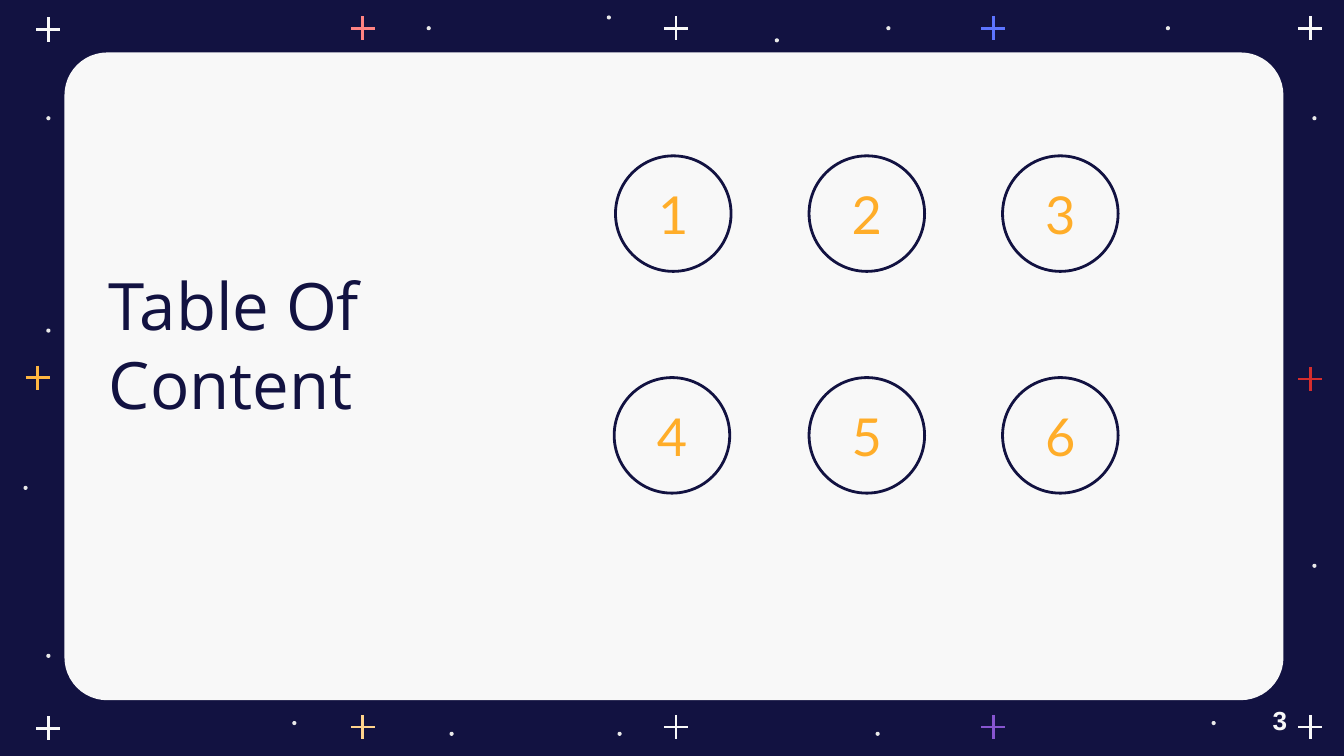
from typing import NamedTuple

import pptx
import pptx.dml.color
import pptx.enum.shapes
import pptx.enum.text
import pptx.oxml
import pptx.oxml.ns
import pptx.util
from pptx.util import Inches

NAVY = "121241"
PAPER = "F8F8F8"
STAR = "E9E9E9"
AMBER = "FFAD29"
SHAPES = pptx.enum.shapes.MSO_SHAPE
MIDDLE = pptx.enum.text.MSO_ANCHOR.MIDDLE
ALIGN = pptx.enum.text.PP_ALIGN


class Cross(NamedTuple):
    x: float
    y: float
    color: str


class Star(NamedTuple):
    left: float
    top: float


class Chapter(NamedTuple):
    left: float
    top: float
    number: str


CROSS_COLUMNS = [0.36, 2.7, 5.03, 7.39, 9.75]
CROSS_ROWS = {
    0.21: [PAPER, "FF8382", PAPER, "5D74FF", PAPER],
    5.41: [PAPER, "FFD38C", PAPER, "8755D0", PAPER],
}
CROSSES = [
    Cross(x, y + (0.01 if x == CROSS_COLUMNS[0] else 0), color)
    for y, colors in CROSS_ROWS.items()
    for x, color in zip(CROSS_COLUMNS, colors)
] + [Cross(0.28, 2.81, "FFB641"), Cross(9.75, 2.82, "D52D2D")]

STARS = [
    Star(0.35, 0.87), Star(0.35, 2.45), Star(0.18, 3.62), Star(0.35, 4.87),
    Star(3.18, 0.2), Star(4.52, 0.12), Star(5.77, 0.29), Star(6.6, 0.2),
    Star(8.68, 0.2), Star(9.77, 0.87), Star(9.77, 4.2), Star(9.02, 5.37),
    Star(6.52, 5.45), Star(4.6, 5.45), Star(2.18, 5.37), Star(3.35, 5.45),
]

CHAPTER_ROWS = {1.16: [4.58, 6.02, 7.46], 2.81: [4.57, 6.02, 7.46]}
CHAPTER_SPOTS = [(left, top) for top, lefts in CHAPTER_ROWS.items() for left in lefts]
CHAPTERS = [
    Chapter(left, top, str(number))
    for number, (left, top) in enumerate(CHAPTER_SPOTS, start=1)
]


def rgb(color: str) -> pptx.dml.color.RGBColor:
    return pptx.dml.color.RGBColor.from_string(color)


def add_solid(slide, kind, left: float, top: float, width: float, height: float,
              fill: str, line: str | None = None, weight: float = 0.75):
    solid = slide.shapes.add_shape(
        kind, Inches(left), Inches(top), Inches(width), Inches(height))
    solid.shadow.inherit = False
    solid.fill.solid()
    solid.fill.fore_color.rgb = rgb(fill)
    if line:
        solid.line.color.rgb = rgb(line)
        solid.line.width = pptx.util.Pt(weight)
    else:
        solid.line.fill.background()
    return solid


def write(frame, text: str, font: str, size: float, color: str,
          align=ALIGN.LEFT, bold: bool = False) -> None:
    frame.text = text
    paragraph = frame.paragraphs[0]
    paragraph.alignment = align
    paragraph.font.name = font
    paragraph.font.size = pptx.util.Pt(size)
    paragraph.font.bold = bold
    paragraph.font.color.rgb = rgb(color)


def set_insets(frame, inset: float) -> None:
    frame.margin_left = frame.margin_right = Inches(inset)
    frame.margin_top = frame.margin_bottom = Inches(inset)


def add_cross(slide, cross: Cross) -> None:
    arm = 0.09
    for dx, dy in [(0, arm), (arm, 0)]:
        stroke = slide.shapes.add_connector(
            pptx.enum.shapes.MSO_CONNECTOR.STRAIGHT,
            Inches(cross.x - dx), Inches(cross.y - dy),
            Inches(cross.x + dx), Inches(cross.y + dy))
        stroke.line.color.rgb = rgb(cross.color)
        stroke.line.width = pptx.util.Pt(1.5)
        properties = stroke.element.find(pptx.oxml.ns.qn("p:spPr"))
        properties.append(pptx.oxml.parse_xml(
            f"<a:effectLst {pptx.oxml.ns.nsdecls('a')}/>"))


def add_star(slide, star: Star) -> None:
    add_solid(slide, SHAPES.OVAL, star.left, star.top, 0.02, 0.02, STAR, STAR)


def add_chapter(slide, chapter: Chapter) -> None:
    circle = add_solid(slide, SHAPES.OVAL, chapter.left, chapter.top,
                       0.86, 0.86, PAPER, NAVY, 1.5)
    frame = circle.text_frame
    frame.vertical_anchor = MIDDLE
    set_insets(frame, 0.1)
    write(frame, chapter.number, "Lato", 28, AMBER, ALIGN.CENTER)


def place_title(slide) -> None:
    title = slide.shapes.title
    title.left, title.top = Inches(0.71), Inches(2.02)
    title.width, title.height = Inches(2.85), Inches(1.08)
    title.element.getparent().append(title.element)
    frame = title.text_frame
    frame.auto_size = pptx.enum.text.MSO_AUTO_SIZE.NONE
    frame.word_wrap = True
    frame.vertical_anchor = MIDDLE
    set_insets(frame, 0.1)
    write(frame, "Table Of Content", "Open Sans", 35, NAVY)


def add_page_number(slide) -> None:
    page_number = slide.shapes.add_textbox(
        Inches(9.37), Inches(5.19), Inches(0.45), Inches(0.34))
    page_number.text_frame.word_wrap = True
    write(page_number.text_frame, "3", "Arial", 14, PAPER, bold=True)


def main() -> None:
    deck = pptx.Presentation()
    deck.slide_width = Inches(10)
    deck.slide_height = deck.slide_width * 9 // 16
    slide = deck.slides.add_slide(deck.slide_layouts.get_by_name("Title Only"))
    slide.background.fill.solid()
    slide.background.fill.fore_color.rgb = rgb(NAVY)

    panel = add_solid(slide, SHAPES.ROUNDED_RECTANGLE, 0.48, 0.39, 9.07, 4.82, PAPER)
    panel.adjustments[0] = 0.066
    for cross in CROSSES:
        add_cross(slide, cross)
    for star in STARS:
        add_star(slide, star)
    place_title(slide)
    for chapter in CHAPTERS:
        add_chapter(slide, chapter)
    add_page_number(slide)
    deck.save("out.pptx")


if __name__ == "__main__":
    main()
